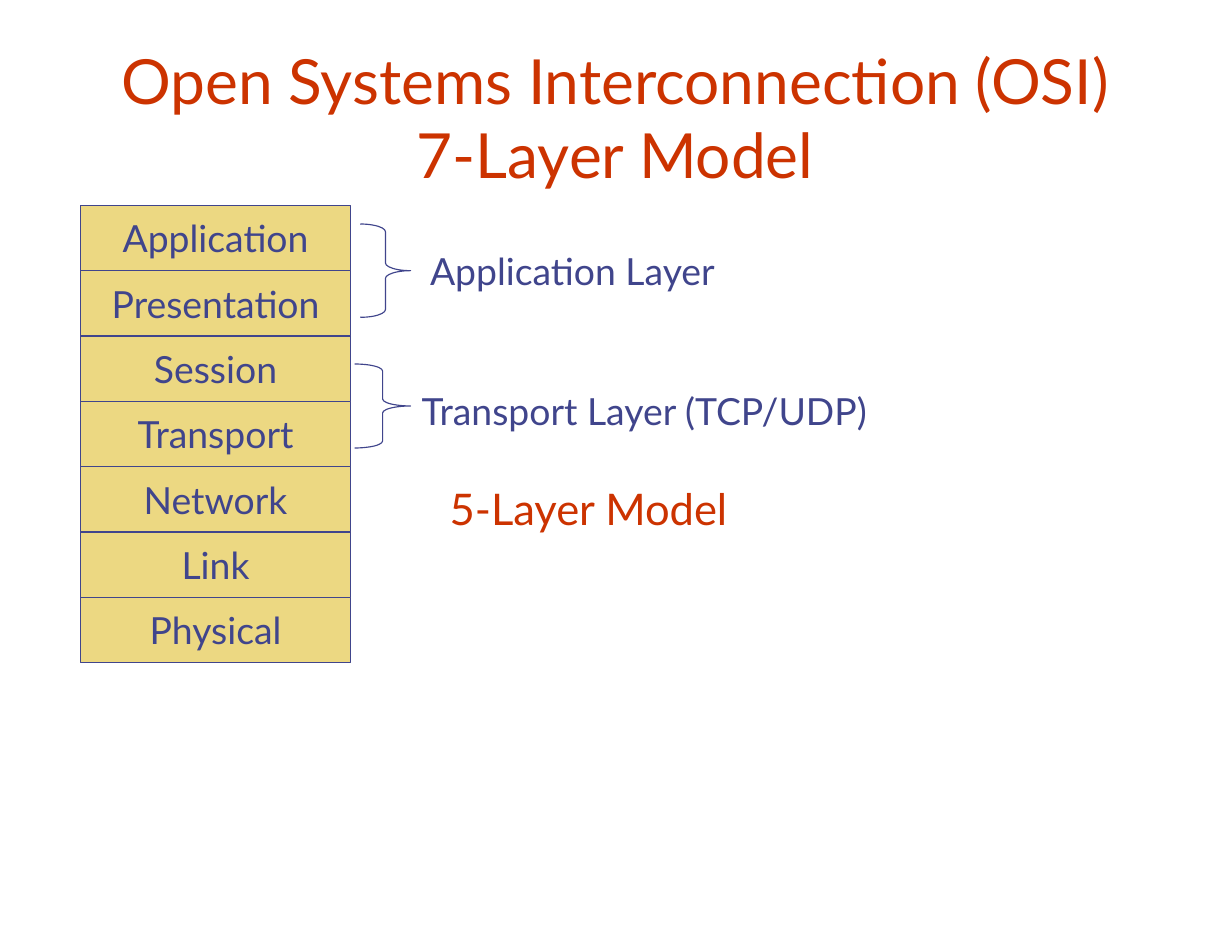
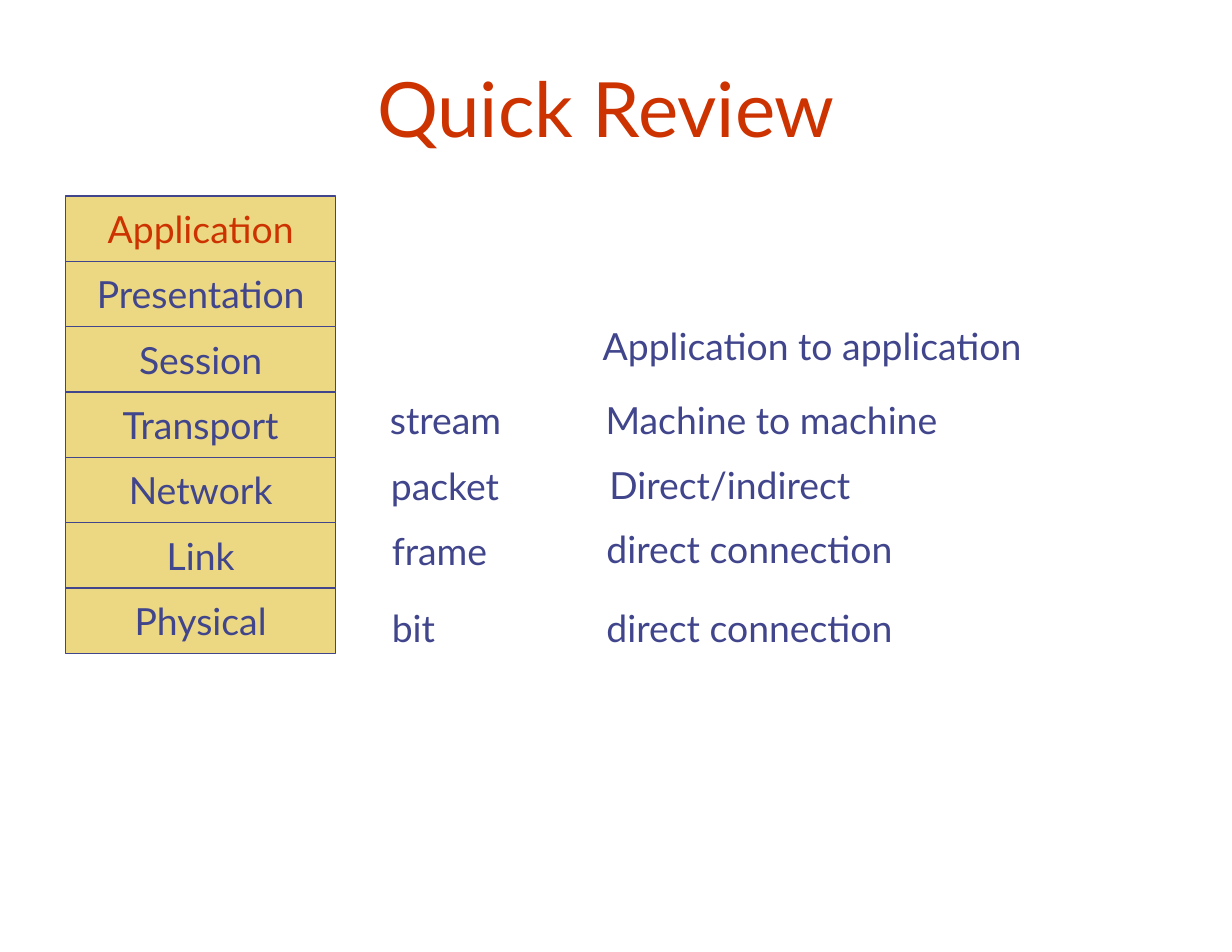
from dataclasses import dataclass

from pptx import Presentation
from pptx.dml.color import RGBColor
from pptx.enum.shapes import MSO_SHAPE
from pptx.enum.text import MSO_ANCHOR, MSO_AUTO_SIZE, PP_ALIGN
from pptx.util import Emu, Pt

EMU_PER_PX = 7620


@dataclass(frozen=True)
class Theme:
    font: str = "Lato"
    ink: RGBColor = RGBColor(0x40, 0x45, 0x8C)
    accent: RGBColor = RGBColor(0xCC, 0x33, 0x00)
    layer_fill: RGBColor = RGBColor(0xEC, 0xD8, 0x82)
    outline: float = 0.75
    body: int = 24
    callout: int = 28
    model_title: int = 40
    review_title: int = 49


THEME = Theme()
LAYERS = ["Application", "Presentation", "Session", "Transport",
          "Network", "Link", "Physical"]
LAYER_WIDTH, LAYER_HEIGHT = 290, 70
LABEL_HEIGHT = 60


def px(*lengths):
    return [Emu(length * EMU_PER_PX) for length in lengths]


def write(frame, text, size, color, align=PP_ALIGN.LEFT):
    line = frame.paragraphs[0]
    line.text = text
    line.alignment = align
    line.font.name = THEME.font
    line.font.size = Pt(size)
    line.font.color.rgb = color


def add_title(slide, text, box, size, anchor, inset=(0, 0)):
    frame = slide.shapes.add_textbox(*px(*box)).text_frame
    frame.word_wrap = True
    frame.vertical_anchor = anchor
    side, edge = px(*inset)
    frame.margin_left = frame.margin_right = side
    frame.margin_top = frame.margin_bottom = edge
    write(frame, text, size, THEME.accent, PP_ALIGN.CENTER)


def add_label(slide, text, left, top, width, height=LABEL_HEIGHT,
              size=THEME.body, color=THEME.ink):
    frame = slide.shapes.add_textbox(*px(left, top, width, height)).text_frame
    frame.word_wrap = False
    frame.auto_size = MSO_AUTO_SIZE.SHAPE_TO_FIT_TEXT
    write(frame, text, size, color)


def add_outlined(slide, preset, *box):
    shape = slide.shapes.add_shape(preset, *px(*box))
    shape.shadow.inherit = False
    shape.line.color.rgb = THEME.ink
    shape.line.width = Pt(THEME.outline)
    return shape


def add_layer_stack(slide, left, top, highlighted=None):
    for row, layer in enumerate(LAYERS):
        block = add_outlined(slide, MSO_SHAPE.RECTANGLE, left,
                             top + row * LAYER_HEIGHT, LAYER_WIDTH, LAYER_HEIGHT)
        block.fill.solid()
        block.fill.fore_color.rgb = THEME.layer_fill
        block.text_frame.word_wrap = False
        block.text_frame.vertical_anchor = MSO_ANCHOR.MIDDLE
        color = THEME.accent if layer == highlighted else THEME.ink
        write(block.text_frame, layer, THEME.body, color, PP_ALIGN.CENTER)


def add_brace(slide, left, top, width, height):
    brace = add_outlined(slide, MSO_SHAPE.RIGHT_BRACE, left, top, width, height)
    brace.fill.background()
    brace.adjustments[0] = height / 12 / width


def build_model(slide):
    add_title(slide, "Open Systems Interconnection (OSI) 7-Layer Model",
              (98, 40, 1122, 170), THEME.model_title, MSO_ANCHOR.MIDDLE)
    add_layer_stack(slide, 86, 220)
    add_brace(slide, 386, 240, 54, 100)
    add_label(slide, "Application Layer", 449, 260, 348)
    add_brace(slide, 380, 390, 60, 90)
    add_label(slide, "Transport Layer (TCP/UDP)", 440, 410, 526)
    add_label(slide, "5-Layer Model", 470, 510, 335, 68,
              THEME.callout, THEME.accent)


def build_review(slide):
    add_layer_stack(slide, 70, 210, highlighted="Application")
    add_title(slide, "Quick Review", (88, 46, 1122, 125),
              THEME.review_title, MSO_ANCHOR.BOTTOM, inset=(13, 7))
    data_units = [
        ("stream", 406, 420, 156),
        ("packet", 407, 490, 149),
        ("frame", 408, 560, 137),
        ("bit", 408, 642, 73),
    ]
    connections = [
        ("Application to application", 634, 340, 502),
        ("Machine to machine", 637, 420, 404),
        ("Direct/indirect", 641, 489, 294),
        ("direct connection", 638, 558, 350),
        ("direct connection", 638, 643, 350),
    ]
    for label in data_units + connections:
        add_label(slide, *label)


def main():
    deck = Presentation()
    deck.slide_width, deck.slide_height = px(1320, 1020)
    blank = deck.slide_layouts[6]
    for build in (build_model, build_review):
        build(deck.slides.add_slide(blank))
    deck.save("out.pptx")


if __name__ == "__main__":
    main()
